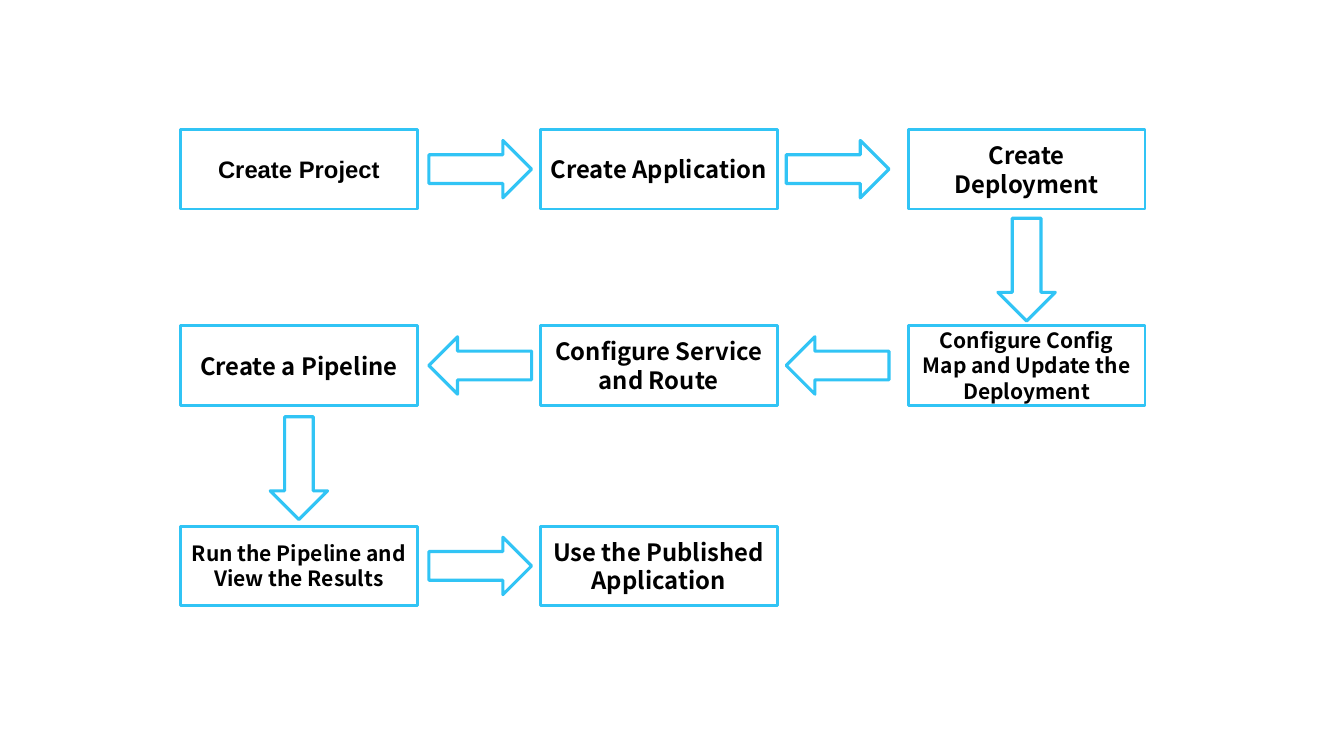
from dataclasses import dataclass

from pptx import Presentation
from pptx.dml.color import RGBColor
from pptx.enum.shapes import MSO_SHAPE
from pptx.enum.text import MSO_ANCHOR, PP_ALIGN
from pptx.shapes.autoshape import Shape
from pptx.slide import Slide
from pptx.util import Pt

CYAN = RGBColor(0x31, 0xC4, 0xF5)
BLACK = RGBColor(0x00, 0x00, 0x00)

# Grid of steps, in points
COLUMN_LEFTS = (128.9, 385.9, 648.7)
ROW_TOPS = (92.4, 232.6, 375.8)
STEP_WIDTH, STEP_HEIGHT = 169.2, 56.9
ARROW_LENGTH, ARROW_THICKNESS = 73.4, 41.0
# Arrow centres between neighbouring columns and rows
COLUMN_GAPS = (343.0, 598.3)
ROW_GAPS = (192.6, 334.4)

RIGHT, DOWN, LEFT = 0, 90, 180


@dataclass
class Step:
    label: str
    column: int
    row: int
    size: float = 17
    font: str = "Noto Sans CJK SC"

    @property
    def center(self) -> tuple[float, float]:
        return (COLUMN_LEFTS[self.column] + STEP_WIDTH / 2,
                ROW_TOPS[self.row] + STEP_HEIGHT / 2)


# Steps in the order of the workflow
STEPS = (
    Step("Create Project", 0, 0, font="Arial"),
    Step("Create Application", 1, 0),
    Step("Create Deployment", 2, 0),
    Step("Configure Config Map and Update the Deployment", 2, 1, size=15),
    Step("Configure Service and Route", 1, 1),
    Step("Create a Pipeline", 0, 1),
    Step("Run the Pipeline and View the Results", 0, 2, size=15),
    Step("Use the Published Application", 1, 2),
)


def add_outline(slide: Slide, kind: MSO_SHAPE, center: tuple[float, float],
                width: float, height: float, line_width: float) -> Shape:
    x, y = center
    outline = slide.shapes.add_shape(kind, Pt(x - width / 2), Pt(y - height / 2),
                                     Pt(width), Pt(height))
    outline.shadow.inherit = False
    outline.fill.background()
    outline.line.color.rgb = CYAN
    outline.line.width = Pt(line_width)
    return outline


def draw_step(slide: Slide, step: Step) -> None:
    box = add_outline(slide, MSO_SHAPE.ROUNDED_RECTANGLE, step.center,
                      STEP_WIDTH, STEP_HEIGHT, 2)
    box.adjustments[0] = 0
    frame = box.text_frame
    frame.word_wrap = True
    frame.vertical_anchor = MSO_ANCHOR.MIDDLE
    frame.text = step.label
    paragraph = frame.paragraphs[0]
    paragraph.alignment = PP_ALIGN.CENTER
    font = paragraph.runs[0].font
    font.name = step.font
    font.size = Pt(step.size)
    font.bold = True
    font.color.rgb = BLACK


def draw_arrow(slide: Slide, start: Step, end: Step) -> None:
    x, y = start.center
    if start.column == end.column:
        direction, y = DOWN, ROW_GAPS[start.row]
    else:
        direction = RIGHT if end.column > start.column else LEFT
        x = COLUMN_GAPS[min(start.column, end.column)]
    arrow = add_outline(slide, MSO_SHAPE.RIGHT_ARROW, (x, y),
                        ARROW_LENGTH, ARROW_THICKNESS, 2.25)
    arrow.rotation = direction


def main() -> None:
    presentation = Presentation()
    presentation.slide_width, presentation.slide_height = Pt(960), Pt(540)
    slide = presentation.slides.add_slide(presentation.slide_layouts[6])

    # Workflow boxes
    for step in STEPS:
        draw_step(slide, step)

    # Arrows from each step to the next
    for start, end in zip(STEPS, STEPS[1:]):
        draw_arrow(slide, start, end)

    presentation.save("out.pptx")


if __name__ == "__main__":
    main()
